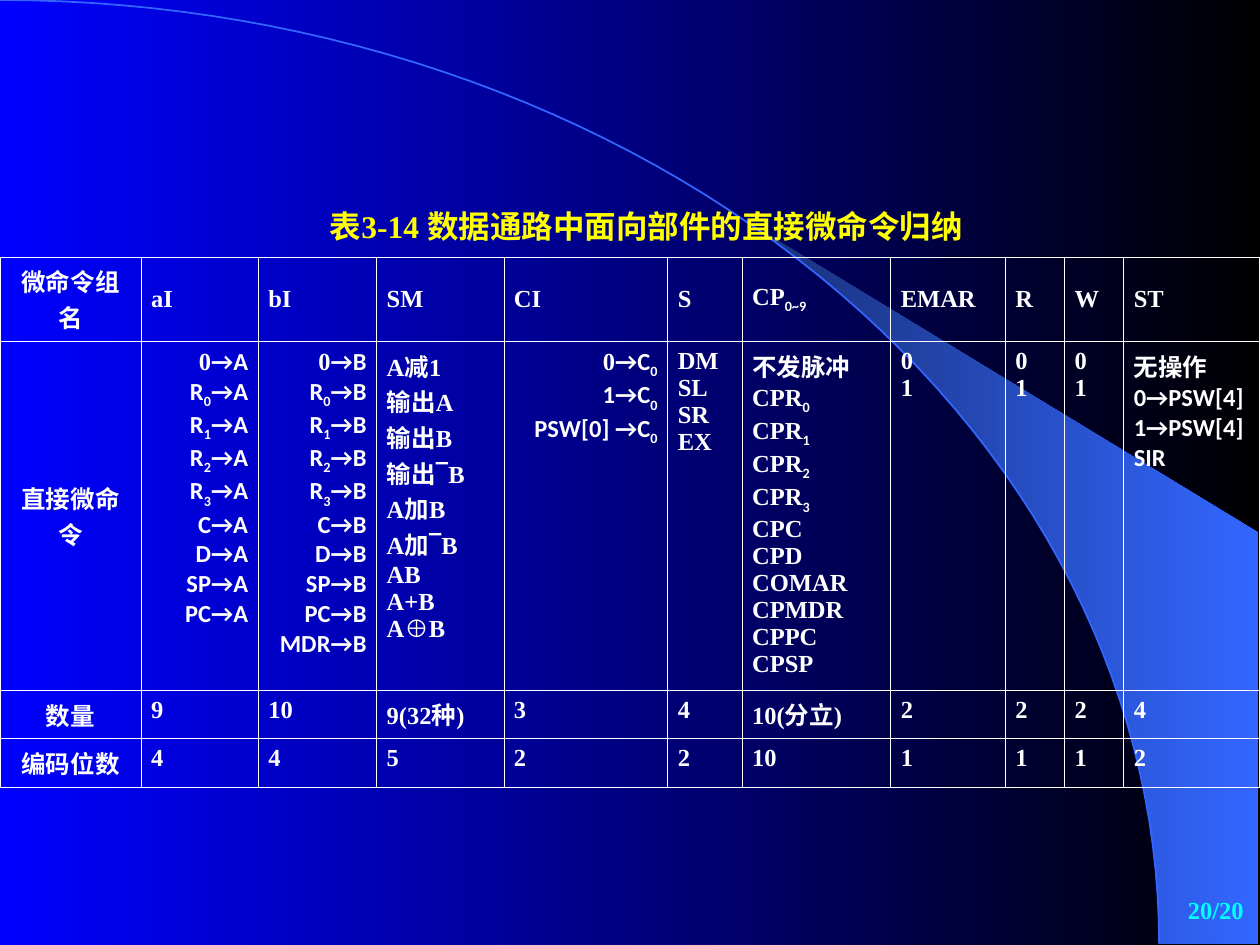
from dataclasses import dataclass
from math import asin, cos, pi, sin

from lxml import etree
from pptx import Presentation
from pptx.dml.color import RGBColor
from pptx.enum.text import MSO_ANCHOR, MSO_AUTO_SIZE, PP_ALIGN
from pptx.oxml.ns import qn
from pptx.util import Inches, Pt

LEFT, CENTER, RIGHT = PP_ALIGN.LEFT, PP_ALIGN.CENTER, PP_ALIGN.RIGHT
TOP, MIDDLE = MSO_ANCHOR.TOP, MSO_ANCHOR.MIDDLE
FIT_SHAPE, FIT_NONE = MSO_AUTO_SIZE.SHAPE_TO_FIT_TEXT, MSO_AUTO_SIZE.NONE


@dataclass(frozen=True)
class Theme:
    white: str = "FFFFFF"
    title: str = "FFFF00"
    page_number: str = "00FFFF"
    background: tuple = ("0000FF", "000000")
    wedge: tuple = ("182F76", "3366FF")
    arc: str = "3366FF"
    serif: str = "Times New Roman"
    sans: str = "Calibri"
    overline: str = "Arial"
    title_size: int = 18
    body_size: int = 14
    border: float = 0.45


def set_all(target, values):
    for name, value in values.items():
        setattr(target, name, value)


class SlideBuilder:
    def __init__(self, page, theme):
        self.page = page
        self.theme = theme

    def gradient(self, fill, colors):
        fill.gradient()
        fill.gradient_angle = 0
        for stop, color in zip(fill.gradient_stops, colors):
            stop.color.rgb = RGBColor.from_string(color)

    def outline(self, points, close):
        points = [(Inches(x), Inches(y)) for x, y in points]
        builder = self.page.shapes.build_freeform(*points[0])
        builder.add_line_segments(points[1:], close=close)
        shape = builder.convert_to_shape()
        shape.shadow.inherit = False
        return shape

    def wedge(self, points):
        shape = self.outline(points, True)
        self.gradient(shape.fill, self.theme.wedge)
        shape.line.fill.background()

    def curve(self, points):
        shape = self.outline(points, False)
        shape.fill.background()
        shape.line.color.rgb = RGBColor.from_string(self.theme.arc)
        shape.line.width = Pt(1)

    def fill_text(self, frame, lines, align, color, size):
        """Spans are split by |; ^ marks sans text and _ a sans subscript."""
        for index, line in enumerate(lines):
            para = frame.add_paragraph() if index else frame.paragraphs[0]
            para.alignment = align
            for part in line.split("|"):
                span = para.add_run()
                span.text = part.lstrip("^_")
                if part[0] in "^_":
                    family = self.theme.sans
                else:
                    family = self.theme.overline if part == "‾" else self.theme.serif
                set_all(span.font, {"name": family, "size": Pt(size), "bold": True})
                span.font.color.rgb = RGBColor.from_string(color)
                if part[0] == "_":
                    span.font._element.set("baseline", "-25000")

    def text(self, place, line, align, color, size, anchor=TOP, fit=FIT_NONE):
        box = self.page.shapes.add_textbox(*map(Inches, place))
        set_all(box.text_frame, {"word_wrap": True, "auto_size": fit,
                                 "vertical_anchor": anchor})
        self.fill_text(box.text_frame, [line], align, color, size)

    def border(self, cell):
        properties = cell._tc.get_or_add_tcPr()
        for side in ("a:lnL", "a:lnR", "a:lnT", "a:lnB"):
            line = etree.SubElement(properties, qn(side), w=str(Pt(self.theme.border)))
            fill = etree.SubElement(line, qn("a:solidFill"))
            etree.SubElement(fill, qn("a:srgbClr"), val=self.theme.white)

    def table(self, place, widths, heights, rows):
        frame = self.page.shapes.add_table(len(heights), len(widths), *map(Inches, place))
        table = frame.table
        set_all(table, {"first_row": False, "horz_banding": False})
        for column, width in zip(table.columns, widths):
            column.width = Inches(width)
        for row, height in zip(table.rows, heights):
            row.height = Inches(height)
        for r, row in enumerate(rows):
            for c, lines in enumerate(row):
                self.cell(table.cell(r, c), lines, r, c)

    def cell(self, cell, lines, row, column):
        if column == 0:
            align = CENTER
        else:
            align = RIGHT if row == 1 and column in RIGHT_COLUMNS else LEFT
        set_all(cell, {
            "margin_left": Inches(0.08), "margin_right": Inches(0.08),
            "margin_top": Inches(0.05), "margin_bottom": Inches(0.05),
            "vertical_anchor": MIDDLE if row == 0 or column == 0 else TOP,
        })
        self.border(cell)
        cell.fill.background()
        self.fill_text(cell.text_frame, lines, align, self.theme.white, self.theme.body_size)


ARC_WIDTH, ARC_HEIGHT = 9.2, 7.49
WEDGE_LEFT = 5.89


def arc_points(start, steps):
    """Points on the quarter ellipse from angle start down to its right end."""
    angles = [start + (pi / 2 - start) * step / steps for step in range(steps + 1)]
    return [(ARC_WIDTH * sin(a), ARC_HEIGHT * (1 - cos(a))) for a in angles]


def bus_commands(bus, extra):
    registers = [f"^R|_{number}|^→{bus}" for number in range(4)]
    return [f"0|^→{bus}", *registers, *(f"^{source}→{bus}" for source in extra)]


def one_line_row(*texts):
    return [[text] for text in texts]


RIGHT_COLUMNS = (1, 2, 4)
COLUMN_WIDTHS = (1.12, 0.93, 0.94, 1.01, 1.3, 0.59, 1.18, 0.91, 0.47, 0.47, 1.08)
ROW_HEIGHTS = (0.54, 2.77, 0.38, 0.38)
SOURCES = ["C", "D", "SP", "PC"]
COMMANDS = [
    ["直接微命令"],
    bus_commands("A", SOURCES),
    bus_commands("B", SOURCES + ["MDR"]),
    ["A减1", "输出A", "输出B", "输出|‾|B", "A加B", "A加|‾|B", "AB", "A+B", "A⊕B"],
    ["0|^→C|_0", "^1→C|_0", "^PSW[0] →C|_0"],
    ["DM", "SL", "SR", "EX"],
    ["不发脉冲", *(f"CPR|_{number}" for number in range(4)),
     "CPC", "CPD", "COMAR", "CPMDR", "CPPC", "CPSP"],
    *[["0", "1"]] * 3,
    ["无操作", "^0→PSW[4]", "^1→PSW[4]", "^SIR"],
]
ROWS = [
    one_line_row("微命令组名", "aI", "bI", "SM", "CI", "S", "CP|_0~9", "EMAR", "R", "W", "ST"),
    COMMANDS,
    one_line_row("数量", "9", "10", "9(32种)", "3", "4", "10(分立)", "2", "2", "2", "4"),
    one_line_row("编码位数", "4", "4", "5", "2", "2", "10", "1", "1", "1", "2"),
]


def main():
    deck = Presentation()
    set_all(deck, {"slide_width": Inches(10), "slide_height": Inches(7.5)})
    theme = Theme()
    builder = SlideBuilder(deck.slides.add_slide(deck.slide_layouts[6]), theme)
    builder.gradient(builder.page.background.fill, theme.background)
    wedge_arc = arc_points(asin(WEDGE_LEFT / ARC_WIDTH), 30)
    builder.wedge([*wedge_arc, (9.99, 7.49), (9.99, 4.23)])
    builder.curve(arc_points(0, 60))
    builder.table((0, 2.04, 10, 4.06), COLUMN_WIDTHS, ROW_HEIGHTS, ROWS)
    builder.text((2.52, 1.59, 6.08, 0.4), "表3-14 数据通路中面向部件的直接微命令归纳",
                 LEFT, theme.title, theme.title_size, fit=FIT_SHAPE)
    builder.text((7.89, 6.97, 2.08, 0.5), "20/20", RIGHT,
                 theme.page_number, theme.body_size, anchor=MIDDLE)
    deck.save("out.pptx")


if __name__ == "__main__":
    main()
